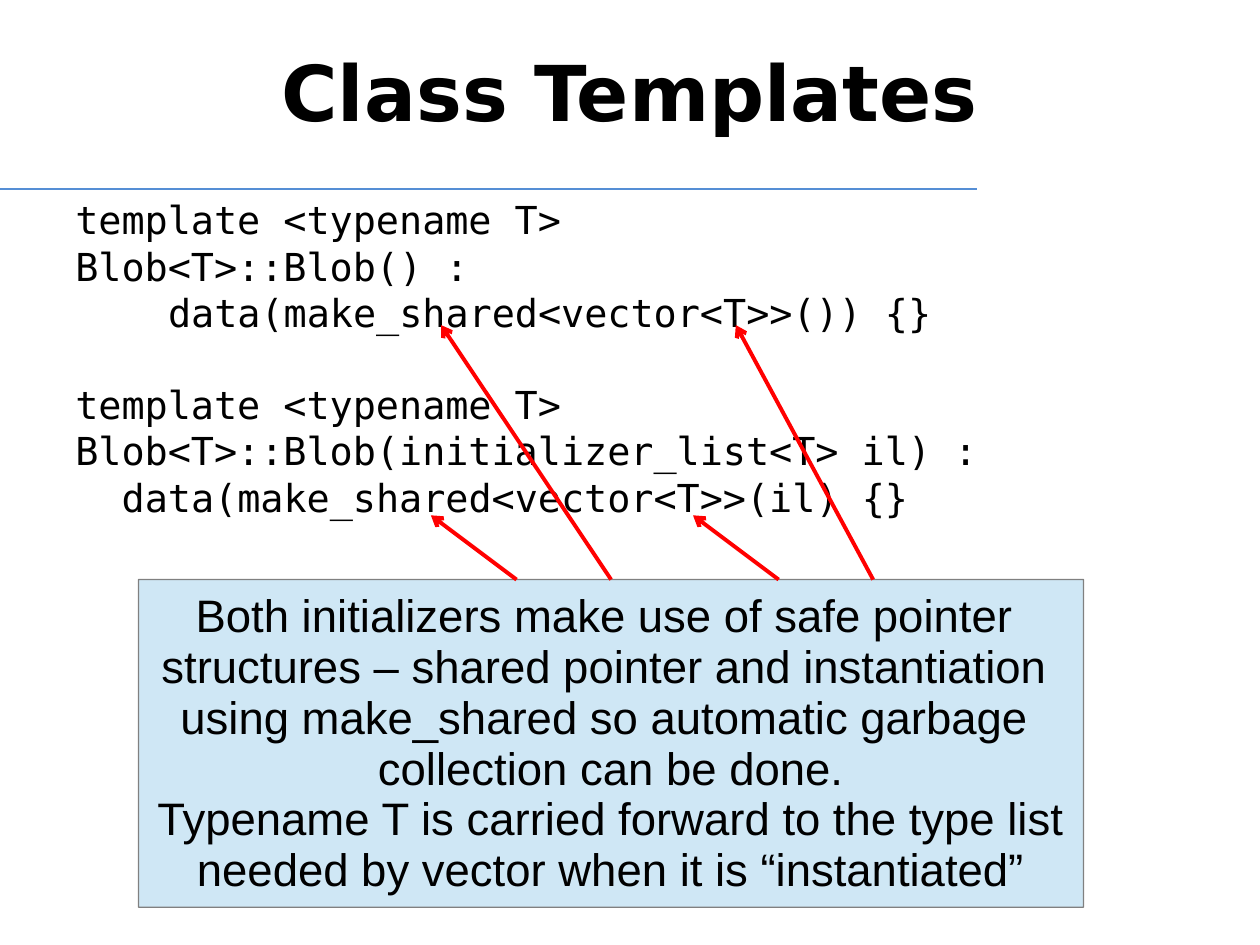
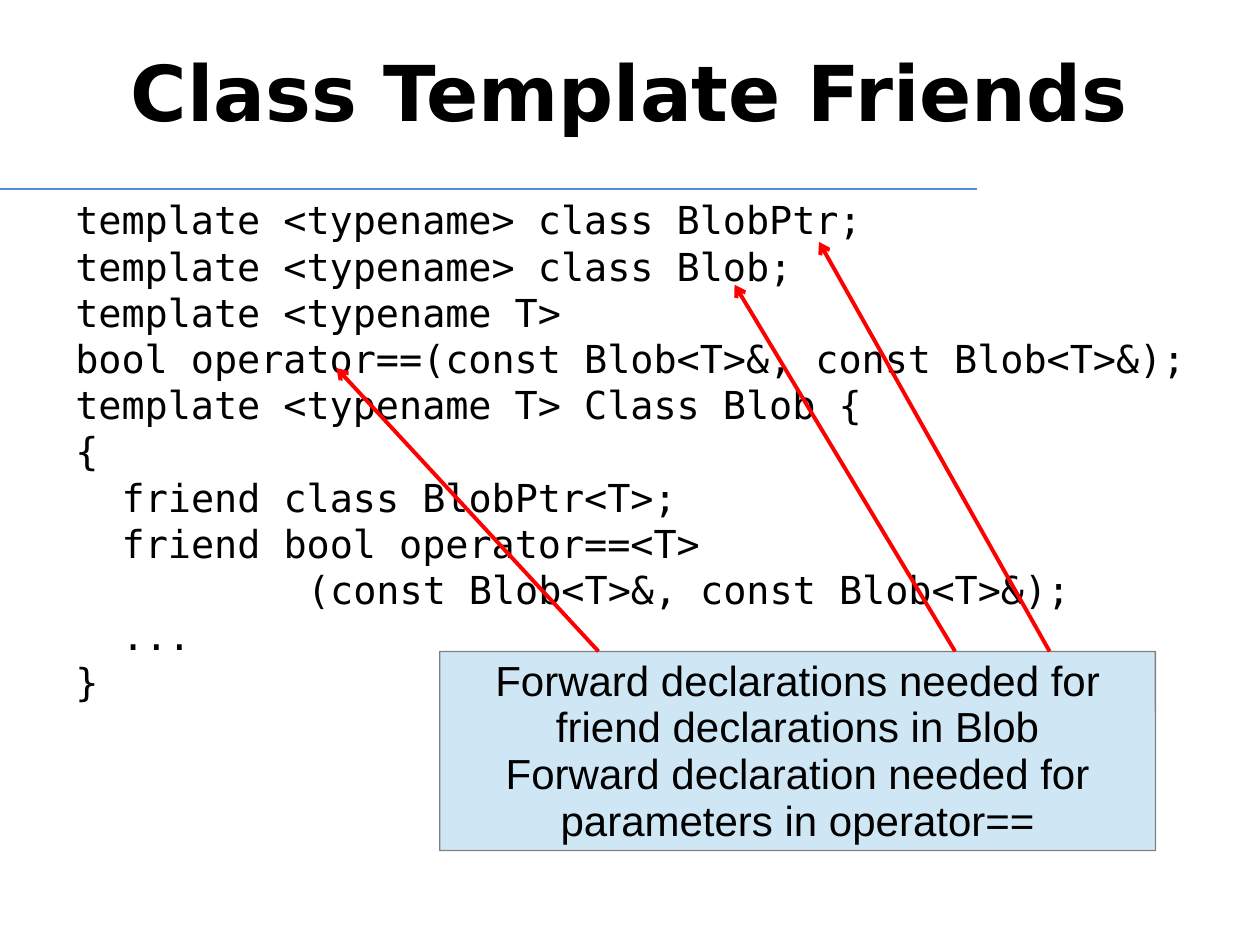
import pptx
import pptx.util
import pptx.dml.color
import pptx.enum.shapes
import pptx.enum.text
import pptx.oxml.ns
import lxml.etree
from dataclasses import dataclass

Inches, Pt = pptx.util.Inches, pptx.util.Pt


@dataclass(frozen=True)
class Theme:
    ink: str = "000000"
    rule: str = "558ED5"
    callout_fill: str = "CFE7F5"
    callout_line: str = "808080"
    arrow: str = "FF0000"
    title_font: str = "DejaVu Sans"
    code_font: str = "DejaVu Sans Mono"
    callout_font: str = "Arial"
    title_size: float = 44
    code_size: float = 22
    thin: float = 0.75
    thick: float = 2.25


THEME = Theme()
CODE_CHAR = 0.602 * THEME.code_size  # width of one monospaced character, points
CODE_LINE = 1.2 * THEME.code_size    # height of one code line, points

# Content: code lines are (indent in characters, text), None opens a gap;
# arrows are (start x on the callout's top edge, end x, end y)
SLIDES = [
    {
        "title": "Class Templates",
        "code": [
            (0, "template <typename T>"),
            (0, "Blob<T>::Blob() :"),
            (4, "data(make_shared<vector<T>>()) {}"),
            None,
            (0, "template <typename T>"),
            (0, "Blob<T>::Blob(initializer_list<T> il) :"),
            (2, "data(make_shared<vector<T>>(il) {}"),
        ],
        "callout": [
            "Both initializers make use of safe pointer ",
            "structures – shared pointer and instantiation ",
            "using make_shared so automatic garbage ",
            "collection can be done.",
            "Typename T is carried forward to the type list ",
            "needed by vector when it is “instantiated”",
        ],
        "callout_at": (1.1, 4.6, 7.5, 2.6),
        "callout_size": 26,
        "arrows": [(4.85, 3.5, 2.58), (4.1, 3.42, 4.09),
                   (6.93, 5.84, 2.58), (6.18, 5.5, 4.09)],
    },
    {
        "title": "Class Template Friends",
        "code": [
            (0, "template <typename> class BlobPtr;"),
            (0, "template <typename> class Blob;"),
            (0, "template <typename T>"),
            (0, "bool operator==(const Blob<T>&, const Blob<T>&);"),
            (0, "template <typename T> Class Blob {"),
            (0, "{"),
            (2, "friend class BlobPtr<T>;"),
            (2, "friend bool operator==<T>"),
            (10, "(const Blob<T>&, const Blob<T>&);"),
            (2, "..."),
            (0, "}"),
        ],
        "callout": [
            "Forward declarations needed for friend declarations in Blob",
            "Forward declaration needed for parameters in operator==",
        ],
        "callout_at": (3.49, 5.17, 5.68, 1.58),
        "callout_size": 24,
        "arrows": [(7.58, 5.83, 2.26), (8.33, 6.5, 1.92), (4.75, 2.67, 2.92)],
    },
]


# Formatting helpers
def color(value):
    return pptx.dml.color.RGBColor.from_string(value)


def place(shape, left, top, width, height):
    shape.left, shape.top = Inches(left), Inches(top)
    shape.width, shape.height = Inches(width), Inches(height)


def set_frame(frame, anchor, top=0.05):
    frame.word_wrap = True
    frame.auto_size = pptx.enum.text.MSO_AUTO_SIZE.NONE
    frame.vertical_anchor = anchor
    frame.margin_left = frame.margin_right = Inches(0.1)
    frame.margin_top, frame.margin_bottom = Inches(top), Inches(0.05)


def set_font(para, name, size, bold=False):
    para.font.name, para.font.size, para.font.bold = name, Pt(size), bold
    para.font.color.rgb = color(THEME.ink)


def fill_paragraphs(frame, texts):
    for number, text in enumerate(texts):
        para = frame.add_paragraph() if number else frame.paragraphs[0]
        para.text = text
        yield para


def add_line(page, start, end, line_color, width):
    points = [Inches(value) for value in (*start, *end)]
    line = page.shapes.add_connector(
        pptx.enum.shapes.MSO_CONNECTOR.STRAIGHT, *points)
    line.line.color.rgb = color(line_color)
    line.line.width = Pt(width)
    lxml.etree.SubElement(line.element.spPr, pptx.oxml.ns.qn("a:effectLst"))
    return line


# Slide parts
def add_title(page, text):
    title = page.shapes.title
    place(title, 0.5, 0.3, 9, 1.25)
    title.text_frame.text = text
    set_frame(title.text_frame, pptx.enum.text.MSO_ANCHOR.TOP)
    para = title.text_frame.paragraphs[0]
    para.alignment = pptx.enum.text.PP_ALIGN.CENTER
    set_font(para, THEME.title_font, THEME.title_size, bold=True)


def add_code(page, lines):
    box = page.shapes.add_textbox(0, 0, 0, 0)
    place(box, 0.5, 1.51, 9.4, 5.15)
    set_frame(box.text_frame, pptx.enum.text.MSO_ANCHOR.TOP)
    rows = [(line, number > 0 and lines[number - 1] is None)
            for number, line in enumerate(lines) if line]
    paras = fill_paragraphs(box.text_frame, [text for (_, text), _ in rows])
    for para, ((indent, _), after_gap) in zip(paras, rows):
        set_font(para, THEME.code_font, THEME.code_size)
        properties = para._p.get_or_add_pPr()
        properties.set("marL", str(int(Pt(indent * CODE_CHAR))))
        properties.set("indent", "0")
        if after_gap:
            para.space_before = Pt(CODE_LINE)


def add_callout(page, texts, at, size):
    box = page.shapes.add_shape(
        pptx.enum.shapes.MSO_SHAPE.ROUNDED_RECTANGLE, 0, 0, 0, 0)
    place(box, *at)
    box.adjustments[0] = 0.001
    box.shadow.inherit = False
    box.fill.solid()
    box.fill.fore_color.rgb = color(THEME.callout_fill)
    box.line.color.rgb = color(THEME.callout_line)
    box.line.width = Pt(THEME.thin)
    set_frame(box.text_frame, pptx.enum.text.MSO_ANCHOR.MIDDLE, top=0.07)
    for para in fill_paragraphs(box.text_frame, texts):
        para.alignment = pptx.enum.text.PP_ALIGN.CENTER
        para.line_spacing = 0.93
        set_font(para, THEME.callout_font, size)
    return box


def add_arrows(page, callout, at, arrows):
    left, top, width, _ = at
    for start_x, end_x, end_y in arrows:
        arrow = add_line(page, (start_x, top), (end_x, end_y),
                         THEME.arrow, THEME.thick)
        lxml.etree.SubElement(arrow.line._get_or_add_ln(),
                              pptx.oxml.ns.qn("a:tailEnd"), type="arrow")
        if abs(start_x - (left + width / 2)) < 0.01:
            arrow.begin_connect(callout, 0)


def main():
    deck = pptx.Presentation()
    deck.slide_width, deck.slide_height = Inches(10), Inches(7.5)
    layout = deck.slide_layouts.get_by_name("Title Only")
    for content in SLIDES:
        page = deck.slides.add_slide(layout)
        add_line(page, (0, 1.5), (7.75, 1.5), THEME.rule, THEME.thin)
        add_title(page, content["title"])
        add_code(page, content["code"])
        at = content["callout_at"]
        callout = add_callout(page, content["callout"], at,
                              content["callout_size"])
        add_arrows(page, callout, at, content["arrows"])
    deck.save("out.pptx")


if __name__ == "__main__":
    main()
